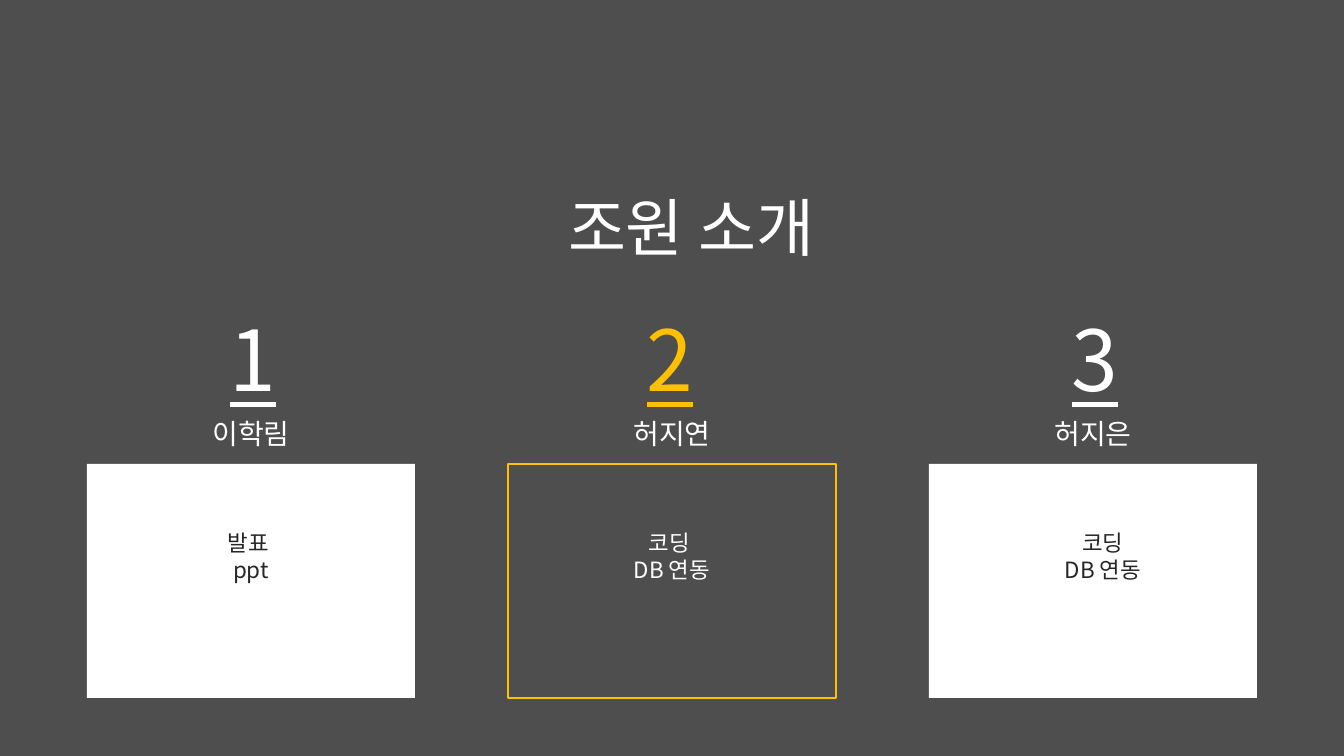
from dataclasses import dataclass

from lxml import etree
from pptx import Presentation
from pptx import util as u
from pptx.dml.color import RGBColor
from pptx.enum import shapes, text
from pptx.oxml.ns import qn

SCALE = 914400 / 100.8  # EMU per pixel


@dataclass(frozen=True)
class Theme:
    """Colours, font and type sizes of the slide."""
    background: str = "4D4E4D"
    light: str = "FFFFFF"
    dark: str = "262626"
    accent: str = "FFC000"
    font: str = "Noto Sans CJK KR"
    title: int = 45
    number: int = 60
    name: int = 20
    role: int = 16


def px(*values):
    """Turn pixels into EMU."""
    return [u.Emu(round(v * SCALE)) for v in values]


class Deck:
    """Holds the style and the current slide."""

    def __init__(self, prs, theme):
        """Add a title-only slide with a plain background."""
        self.theme = theme
        self.s = prs.slides.add_slide(prs.slide_layouts[5])
        fill = self.s.background.fill
        fill.solid()
        fill.fore_color.rgb = RGBColor.from_string(theme.background)

    def set_text(self, sp, lines, size, color, underline=None, **frame):
        """Fill a shape with centred lines of one style."""
        tf = sp.text_frame
        tf.text = "\n".join(lines)
        for key, value in frame.items():
            setattr(tf, key, value)
        fmt = {"size": u.Pt(size), "name": self.theme.font, "underline": underline}
        for p in tf.paragraphs:
            p.alignment = text.PP_ALIGN.CENTER
            for r in p.runs:
                r.font.color.rgb = RGBColor.from_string(color)
                for key, value in fmt.items():
                    setattr(r.font, key, value)
                etree.SubElement(r._r.get_or_add_rPr(), qn("a:ea"), typeface=self.theme.font)

    def title(self, box, line):
        """Move and fill the title placeholder."""
        sp = self.s.shapes.title
        sp.left, sp.top, sp.width, sp.height = px(*box)
        self.set_text(sp, [line], self.theme.title, self.theme.light,
                      vertical_anchor=text.MSO_ANCHOR.MIDDLE,
                      auto_size=text.MSO_AUTO_SIZE.NONE)

    def label(self, center, top, width, height, lines, size, color, wrap=False, underline=None):
        """Add a text box centred on a column position."""
        sp = self.s.shapes.add_textbox(*px(center - width // 2, top, width, height))
        self.set_text(sp, lines, size, color, underline, word_wrap=wrap,
                      auto_size=text.MSO_AUTO_SIZE.SHAPE_TO_FIT_TEXT)

    def card(self, box, outlined):
        """Add a white card, or an outlined one without fill."""
        sp = self.s.shapes.add_shape(shapes.MSO_SHAPE.RECTANGLE, *px(*box))
        sp.shadow.inherit = False
        if outlined:
            sp.fill.background()
            sp.line.color.rgb = RGBColor.from_string(self.theme.accent)
            sp.line.width = u.Pt(1)
        else:
            sp.fill.solid()
            sp.fill.fore_color.rgb = RGBColor.from_string(self.theme.light)
            sp.line.fill.background()


# name, role lines, role width, number shift, role shift, highlighted
MEMBERS = [
    ("이학림", ["발표 ", "ppt"], 74, 0, 0, False),
    ("허지연", ["코딩 ", "DB 연동"], 102, -4, 0, True),
    ("허지은", ["코딩", "DB 연동"], 102, 0, 10, False),
]
CARD_LEFT, CARD_TOP, CARD_W, CARD_H, PITCH = 87, 464, 328, 234, 421


def main():
    """Build the team introduction slide."""
    prs = Presentation()
    prs.slide_width, prs.slide_height = px(1344, 756)
    theme = Theme()
    deck = Deck(prs, theme)
    deck.title((76, 167, 1230, 119), "조원 소개")
    for i, (name, role, role_w, number_dx, role_dx, marked) in enumerate(MEMBERS):
        left = CARD_LEFT + i * PITCH
        center = left + CARD_W // 2
        deck.card((left, CARD_TOP, CARD_W, CARD_H), marked)
        deck.label(center + number_dx, 303, 62, 112, [str(i + 1)], theme.number,
                   theme.accent if marked else theme.light, wrap=True, underline=True)
        deck.label(center, 412, 104, 44, [name], theme.name, theme.light)
        deck.label(center + role_dx, 524, role_w, 64, role, theme.role,
                   theme.light if marked else theme.dark)
    prs.save("out.pptx")


main()
